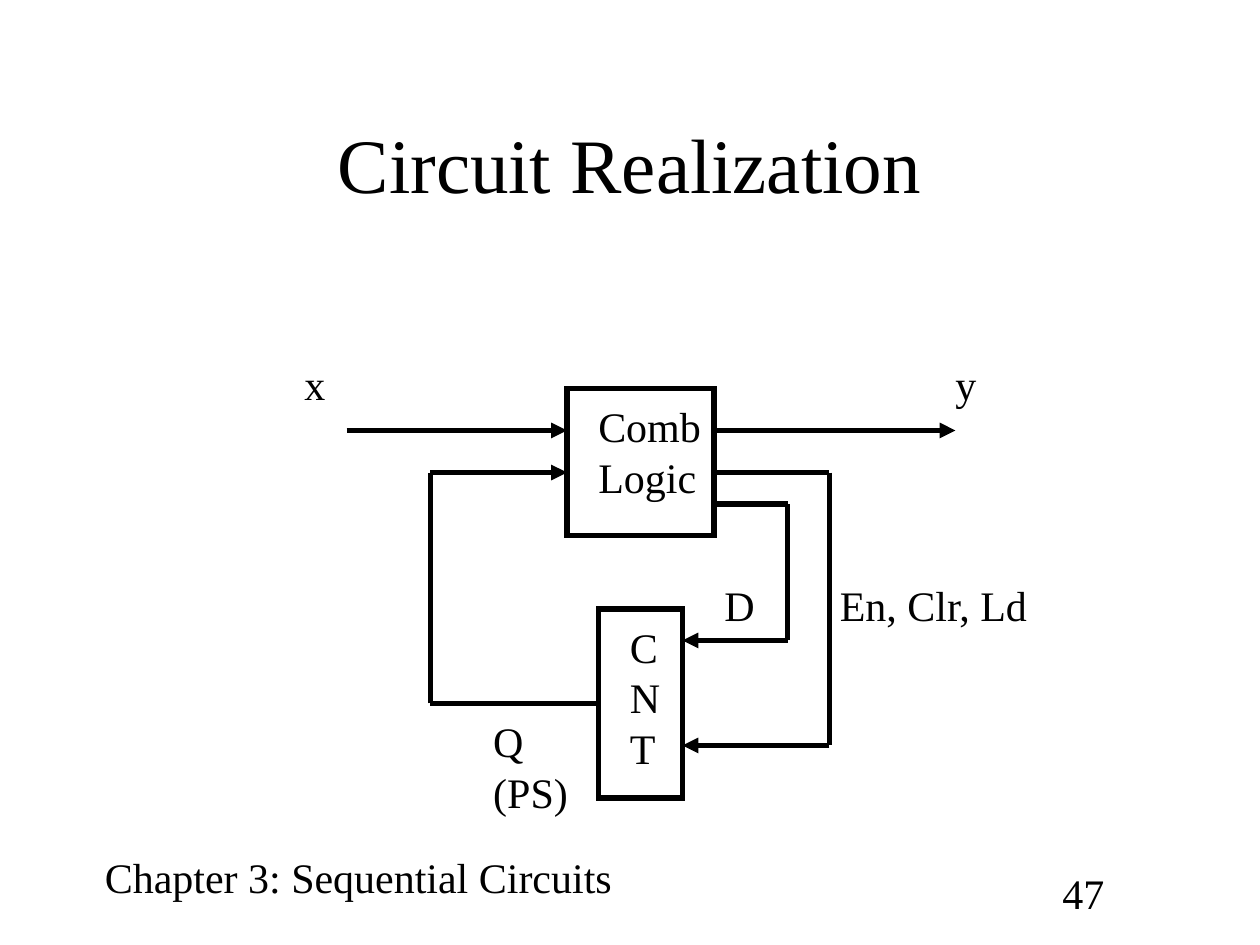
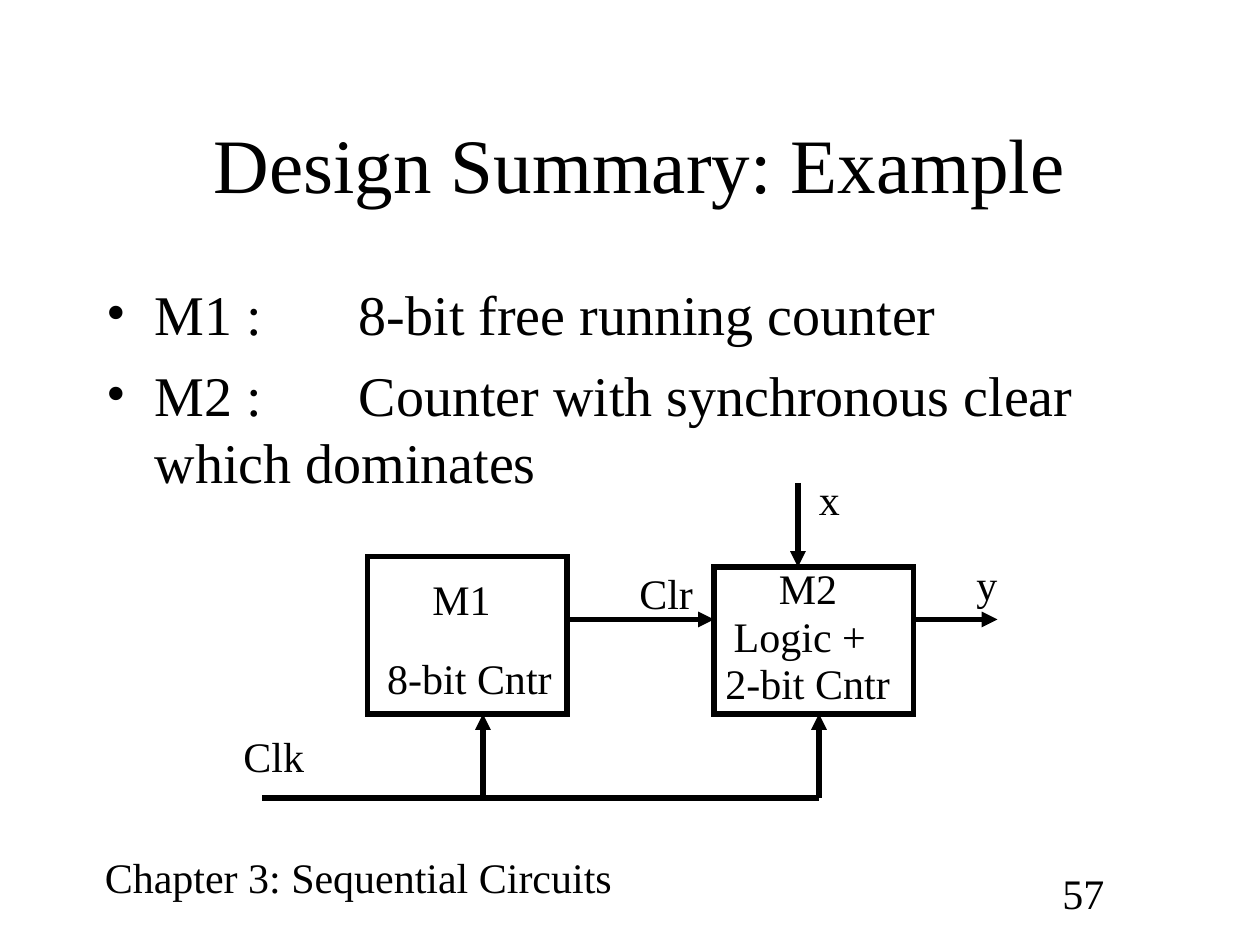
from dataclasses import dataclass
from itertools import pairwise

from lxml import etree
from pptx import Presentation
from pptx import util as u
from pptx.dml.color import RGBColor
from pptx.enum import shapes, text
from pptx.oxml.ns import qn


@dataclass(frozen=True)
class Theme:
    ink: RGBColor = RGBColor(0, 0, 0)
    face: str = "Times New Roman"
    title: int = 44
    body: int = 32
    label: int = 24
    line: int = 3


@dataclass(frozen=True)
class Box:
    """A region measured in grid cells."""
    left: float
    top: float
    width: float
    height: float

    def inner(self, left, top, width, height):
        return Box(self.left + left, self.top + top, width, height)

    def emu(self):
        return [cells(n) for n in (self.left, self.top, self.width, self.height)]


THEME = Theme()
COLUMNS, ROWS = 120, 90
CELL = u.Inches(10) / COLUMNS

TITLE = Box(9, 8, 102, 15)
BODY = Box(9, 26, 102, 54)
FOOTER = Box(8.8, 80.5, 53.6, 6)
NUMBER = Box(100, 82, 11, 6)
REALIZATION = Box(27, 33, 72, 45)
EXAMPLE = Box(22, 44, 74, 33)


def cells(count):
    return u.Emu(round(count * CELL))


def add_element(parent, tag, **attributes):
    return etree.SubElement(parent, qn(tag), attributes)


def add_text(page, box, lines, size=THEME.label, wrap=False, **paragraph_format):
    """Add a text box with one paragraph per line; it fits its text unless wrapped."""
    frame = page.shapes.add_textbox(*box.emu()).text_frame
    frame.word_wrap = wrap
    if not wrap:
        frame.auto_size = text.MSO_AUTO_SIZE.SHAPE_TO_FIT_TEXT
    for index, words in enumerate(lines):
        para = frame.paragraphs[0] if index == 0 else frame.add_paragraph()
        span = para.add_run()
        span.text = words
        for name, value in paragraph_format.items():
            setattr(para, name, value)
        for name, value in {"name": THEME.face, "size": u.Pt(size)}.items():
            setattr(span.font, name, value)
        span.font.color.rgb = THEME.ink
    return frame


def add_frame(page, title, number, shift=0):
    """Add title, footer and page number; shift widens the title's left margin."""
    heading = add_text(page, TITLE, [title], THEME.title, wrap=True,
                       alignment=text.PP_ALIGN.CENTER)
    heading.vertical_anchor = text.MSO_ANCHOR.MIDDLE
    heading.margin_left += u.Inches(shift)
    add_text(page, FOOTER, ["Chapter 3: Sequential Circuits"])
    add_text(page, NUMBER, [str(number)], wrap=True)


def add_bullets(page, box, lines):
    frame = add_text(page, box, lines, THEME.body, wrap=True)
    indent = u.Inches(0.38)
    for index, para in enumerate(frame.paragraphs):
        if index:
            para.space_before = u.Pt(8)
        properties = para._p.get_or_add_pPr()
        properties.set("marL", str(indent))
        properties.set("indent", str(-indent))
        add_element(properties, "a:buFont", typeface=THEME.face)
        add_element(properties, "a:buChar", char="•")
        tabs = add_element(properties, "a:tabLst")
        add_element(tabs, "a:tab", pos=str(u.Inches(2)), algn="l")


def draw_line(line):
    """Set the shared stroke and return its XML element."""
    line.color.rgb = THEME.ink
    line.width = u.Pt(THEME.line)
    stroke = line._get_or_add_ln()
    add_element(stroke, "a:miter", lim="800000")
    return stroke


def add_block(page, box):
    block = page.shapes.add_shape(shapes.MSO_SHAPE.RECTANGLE, *box.emu())
    block.shadow.inherit = False
    block.fill.background()
    draw_line(block.line)


def add_wire(page, box, points):
    """Join the points by straight lines, with an arrowhead at the last one."""
    for start, end in pairwise(points):
        ends = [cells(n) for x, y in (start, end) for n in (box.left + x, box.top + y)]
        wire = page.shapes.add_connector(shapes.MSO_CONNECTOR.STRAIGHT, *ends)
        stroke = draw_line(wire.line)
        if end == points[-1]:
            add_element(stroke, "a:tailEnd", type="triangle")
        add_element(wire._element.spPr, "a:effectLst")


def add_diagram(page, box, blocks, wires, labels):
    """Draw a block diagram; all places are cells from the box's corner."""
    for block in blocks:
        add_block(page, box.inner(*block))
    for points in wires:
        add_wire(page, box, points)
    for words, left, top, width in labels:
        lines = words.split("\n")
        height = 1.2 + 4.8 * len(lines)
        add_text(page, box.inner(left, top, width, height), lines)


def add_realization(page):
    add_frame(page, "Circuit Realization", 47)
    add_diagram(
        page, REALIZATION,
        blocks=[(27, 4, 14, 14), (30, 25, 8, 18)],
        wires=[
            [(41, 15), (48, 15), (48, 28), (38, 28)],
            [(41, 12), (52, 12), (52, 38), (38, 38)],
            [(30, 34), (14, 34), (14, 12), (27, 12)],
            [(6, 8), (27, 8)],
            [(41, 8), (64, 8)],
        ],
        labels=[
            ("x", 0.8, 0.6, 4.4),
            ("y", 62.8, 0.6, 4.4),
            ("C\nN\nT", 31.8, 25.6, 5.4),
            ("Comb\nLogic", 28.8, 4.6, 12.3),
            ("En, Clr, Ld", 51.8, 21.6, 20.5),
            ("D", 40.8, 21.6, 5.4),
            ("Q\n(PS)", 18.8, 34.6, 9.6),
        ])


def add_example(page):
    add_frame(page, "Design Summary: Example", 57, shift=0.15)
    add_bullets(page, BODY, [
        "M1 :\t8-bit free running counter",
        "M2 :\tCounter with synchronous clear which dominates",
    ])
    add_diagram(
        page, EXAMPLE,
        blocks=[(46, 10, 19, 14), (13, 9, 19, 15)],
        wires=[
            [(3, 32), (56, 32), (56, 24)],
            [(24, 32), (24, 24)],
            [(32, 15), (46, 15)],
            [(54, 2), (54, 10)],
            [(65, 15), (73, 15)],
        ],
        labels=[
            ("M1", 18, 10, 8.1),
            ("M2", 51, 9, 8.1),
            ("Clk", 0, 25, 8.3),
            ("y", 69.8, 8.6, 4.4),
            ("Clr", 37.7, 9.5, 7.6),
            ("8-bit Cntr", 13.7, 17.6, 18.2),
            ("2-bit Cntr", 45.9, 18, 18.2),
            ("Logic +", 46.7, 13.6, 15.1),
            ("x", 54.8, 0.5, 4.4),
        ])


def main():
    deck = Presentation()
    deck.slide_width = cells(COLUMNS)
    deck.slide_height = cells(ROWS)
    for build in (add_realization, add_example):
        build(deck.slides.add_slide(deck.slide_layouts[6]))
    deck.save("out.pptx")


if __name__ == "__main__":
    main()
